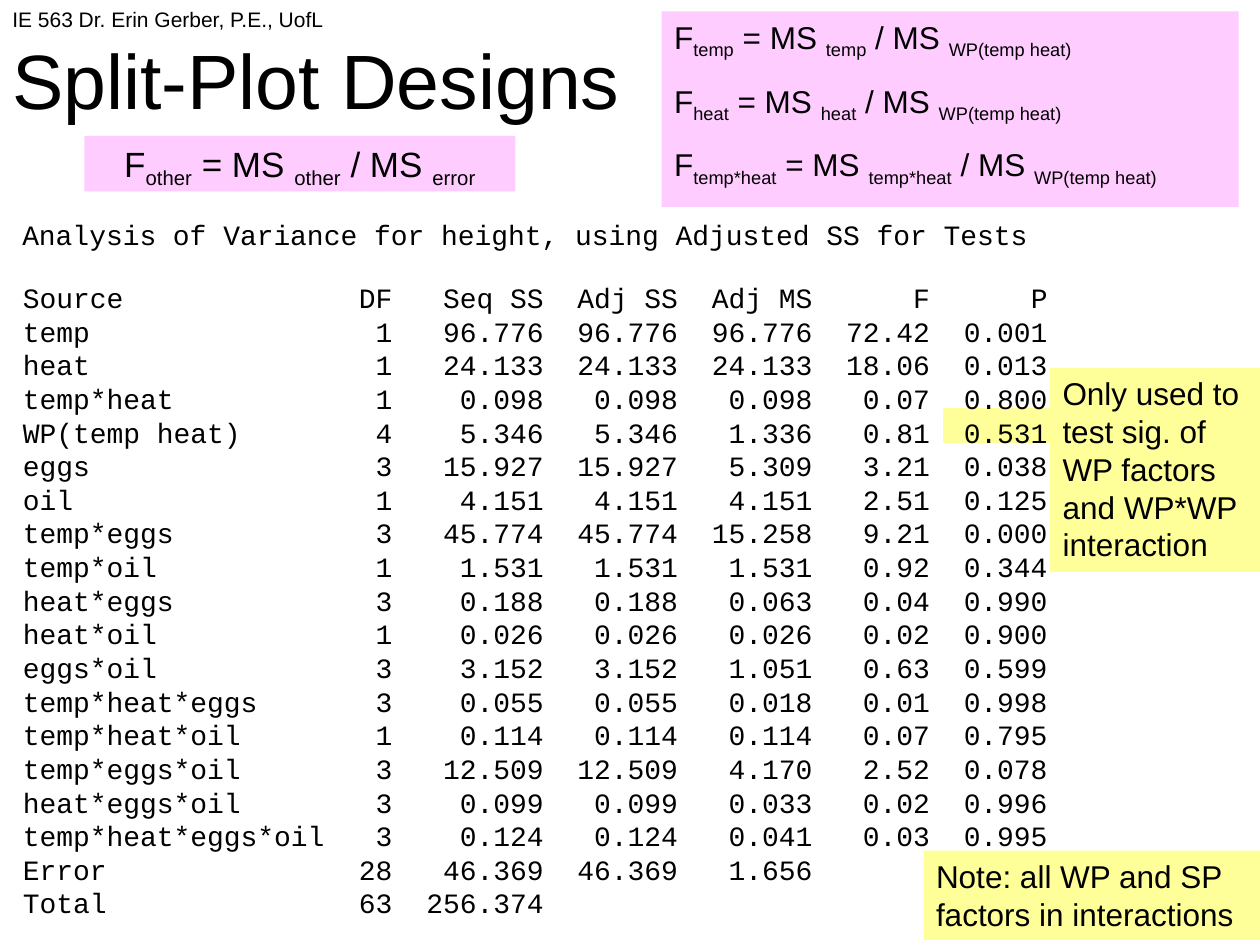
from collections import namedtuple
from dataclasses import dataclass

from pptx import Presentation
from pptx.dml.color import RGBColor
from pptx.enum.shapes import MSO_SHAPE
from pptx.enum.text import MSO_ANCHOR, PP_ALIGN
from pptx.util import Cm, Pt

Box = namedtuple("Box", "left top width height")  # centimetres


@dataclass(frozen=True)
class Theme:
    text: RGBColor = RGBColor(0x00, 0x00, 0x00)
    yellow: RGBColor = RGBColor(0xFF, 0xFF, 0x99)
    pink: RGBColor = RGBColor(0xFF, 0xCC, 0xFF)
    sans: str = "Arial"
    mono: str = "Courier New"
    title: int = 44
    large: int = 20
    body: int = 18
    output: int = 16
    small: int = 12


THEME = Theme()
NO_GRID_STYLE = "{2D5ABB26-0587-4C30-8999-92F81FD0307C}"
CHARACTER = THEME.output * 0.6 * 2.54 / 72  # width of one monospaced letter
COLUMN_CHARACTERS = (19, 3, 9, 8, 8, 7, 7)

HEADER = ("Source", "DF", "Seq SS", "Adj SS", "Adj MS", "F", "P")
ANOVA = (
    ("temp", "1", "96.776", "96.776", "96.776", "72.42", "0.001"),
    ("heat", "1", "24.133", "24.133", "24.133", "18.06", "0.013"),
    ("temp*heat", "1", "0.098", "0.098", "0.098", "0.07", "0.800"),
    ("WP(temp heat)", "4", "5.346", "5.346", "1.336", "0.81", "0.531"),
    ("eggs", "3", "15.927", "15.927", "5.309", "3.21", "0.038"),
    ("oil", "1", "4.151", "4.151", "4.151", "2.51", "0.125"),
    ("temp*eggs", "3", "45.774", "45.774", "15.258", "9.21", "0.000"),
    ("temp*oil", "1", "1.531", "1.531", "1.531", "0.92", "0.344"),
    ("heat*eggs", "3", "0.188", "0.188", "0.063", "0.04", "0.990"),
    ("heat*oil", "1", "0.026", "0.026", "0.026", "0.02", "0.900"),
    ("eggs*oil", "3", "3.152", "3.152", "1.051", "0.63", "0.599"),
    ("temp*heat*eggs", "3", "0.055", "0.055", "0.018", "0.01", "0.998"),
    ("temp*heat*oil", "1", "0.114", "0.114", "0.114", "0.07", "0.795"),
    ("temp*eggs*oil", "3", "12.509", "12.509", "4.170", "2.52", "0.078"),
    ("heat*eggs*oil", "3", "0.099", "0.099", "0.033", "0.02", "0.996"),
    ("temp*heat*eggs*oil", "3", "0.124", "0.124", "0.041", "0.03", "0.995"),
    ("Error", "28", "46.369", "46.369", "1.656", "", ""),
    ("Total", "63", "256.374", "", "", "", ""),
)


def lengths(box):
    return [Cm(value) for value in box]


def format_font(font, size, name=THEME.sans):
    font.size = Pt(size)
    font.name = name
    font.color.rgb = THEME.text


def add_text(slide, box, text, size, name=THEME.sans, anchor=MSO_ANCHOR.TOP):
    text_frame = slide.shapes.add_textbox(*lengths(box)).text_frame
    text_frame.word_wrap = True
    text_frame.vertical_anchor = anchor
    text_frame.text = text
    format_font(text_frame.paragraphs[0].runs[0].font, size, name)


def add_panel(slide, box, color):
    shape = slide.shapes.add_shape(MSO_SHAPE.RECTANGLE, *lengths(box))
    shape.shadow.inherit = False
    shape.fill.solid()
    shape.fill.fore_color.rgb = color
    shape.line.fill.background()
    shape.text_frame.word_wrap = True
    shape.text_frame.vertical_anchor = MSO_ANCHOR.TOP
    return shape


def add_highlight(slide, box):
    shape = add_panel(slide, box, THEME.yellow)
    shape.line.color.rgb = THEME.yellow
    shape.line.width = Pt(2)


def add_note(slide, box, text):
    text_frame = add_panel(slide, box, THEME.yellow).text_frame
    text_frame.text = text
    paragraph = text_frame.paragraphs[0]
    paragraph.alignment = PP_ALIGN.LEFT
    format_font(paragraph.runs[0].font, THEME.body)


def add_formulas(slide, box, formulas, size, alignment):
    """Write F = MS / MS lines, one for each (factor, error term) pair."""
    text_frame = add_panel(slide, box, THEME.pink).text_frame
    for index, (factor, error_term) in enumerate(formulas):
        paragraph = text_frame.paragraphs[0] if index == 0 else text_frame.add_paragraph()
        paragraph.alignment = alignment
        if index < len(formulas) - 1:
            paragraph.space_after = Pt(12)
        for symbol, subscript in (("F", factor), (" = MS ", factor), (" / MS ", error_term)):
            for text, baseline in ((symbol, "0"), (subscript, "-25000")):
                run = paragraph.add_run()
                run.text = text
                format_font(run.font, size)
                run.font._element.set("baseline", baseline)


def add_anova_table(slide, box):
    rows = (HEADER, *ANOVA)
    table = slide.shapes.add_table(len(rows), len(HEADER), *lengths(box)).table
    table.first_row = table.horz_banding = False
    table._tbl.tblPr[0].text = NO_GRID_STYLE
    for column, characters in zip(table.columns, COLUMN_CHARACTERS):
        column.width = Cm(characters * CHARACTER)
    for row_index, values in enumerate(rows):
        table.rows[row_index].height = Cm(box.height / len(rows))
        for column_index, value in enumerate(values):
            cell = table.cell(row_index, column_index)
            cell.fill.background()
            cell.margin_left = cell.margin_right = cell.margin_top = cell.margin_bottom = 0
            cell.vertical_anchor = MSO_ANCHOR.MIDDLE
            cell.text = value
            paragraph = cell.text_frame.paragraphs[0]
            paragraph.alignment = PP_ALIGN.RIGHT if column_index else PP_ALIGN.LEFT
            format_font(paragraph.font, THEME.output, THEME.mono)
            for run in paragraph.runs:
                format_font(run.font, THEME.output, THEME.mono)


def build_slide(slide):
    # Highlight behind the whole-plot P value
    add_highlight(slide, Box(19.05, 8.26, 2.34, 0.64))

    # Title and course line
    add_text(slide, Box(0, 0, 22.86, 3.18), "Split-Plot Designs", THEME.title,
             anchor=MSO_ANCHOR.MIDDLE)
    add_text(slide, Box(0, 0, 10.59, 1.32), "IE 563 Dr. Erin Gerber, P.E., UofL", THEME.small)

    # Analysis of variance
    add_text(slide, Box(0.2, 4.27, 22.86, 0.9),
             "Analysis of Variance for height, using Adjusted SS for Tests",
             THEME.output, THEME.mono)
    add_anova_table(slide, Box(0.46, 5.73, sum(COLUMN_CHARACTERS) * CHARACTER, 12.87))

    # Notes
    add_note(slide, Box(21.17, 7.42, 4.45, 4.11),
             "Only used to test sig. of WP factors and WP*WP interaction")
    add_note(slide, Box(18.62, 17.15, 6.78, 1.8),
             "Note: all WP and SP factors in interactions")

    # F ratios
    whole_plot = [(factor, "WP(temp heat)") for factor in ("temp", "heat", "temp*heat")]
    add_formulas(slide, Box(13.34, 0.23, 11.63, 3.94), whole_plot, THEME.body, PP_ALIGN.LEFT)
    add_formulas(slide, Box(1.7, 2.74, 8.69, 1.12), [("other", "error")], THEME.large,
                 PP_ALIGN.CENTER)


def main():
    presentation = Presentation()
    presentation.slide_width = Cm(25.4)
    presentation.slide_height = Cm(19.05)
    build_slide(presentation.slides.add_slide(presentation.slide_layouts[6]))
    presentation.save("out.pptx")


if __name__ == "__main__":
    main()
